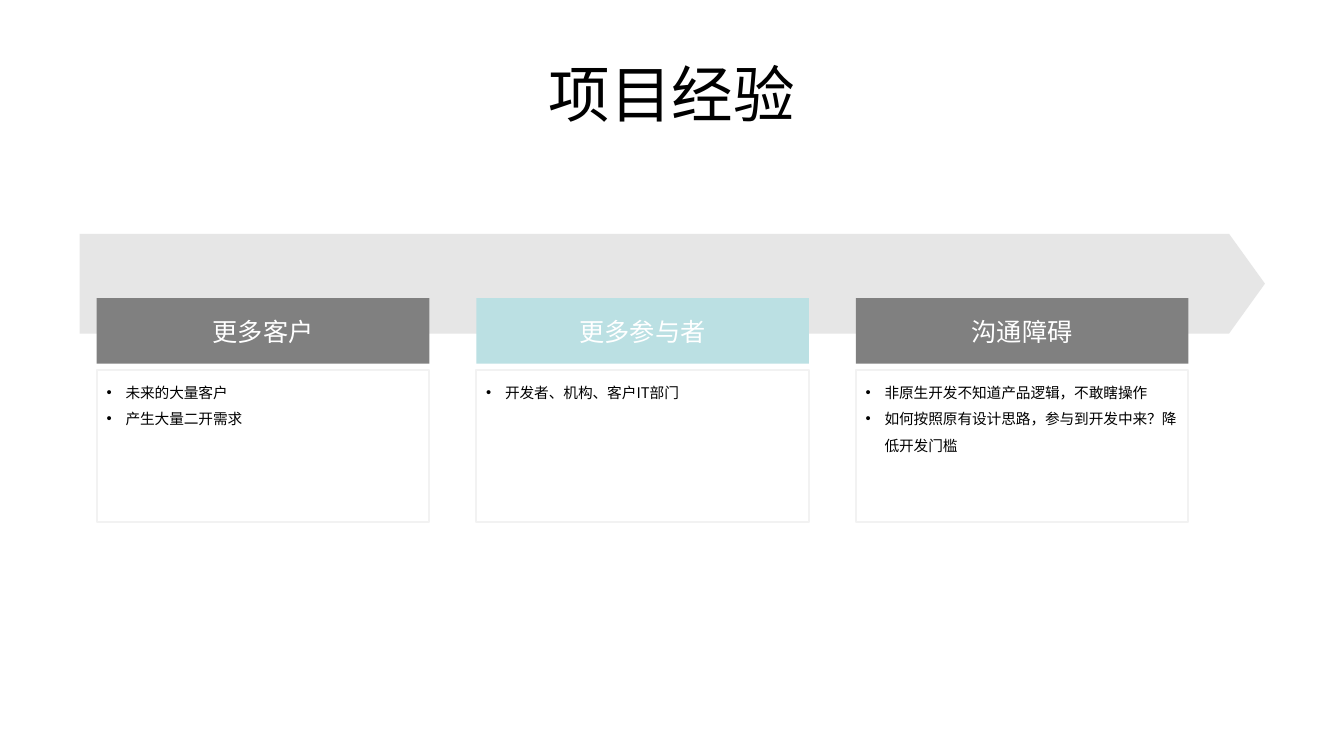
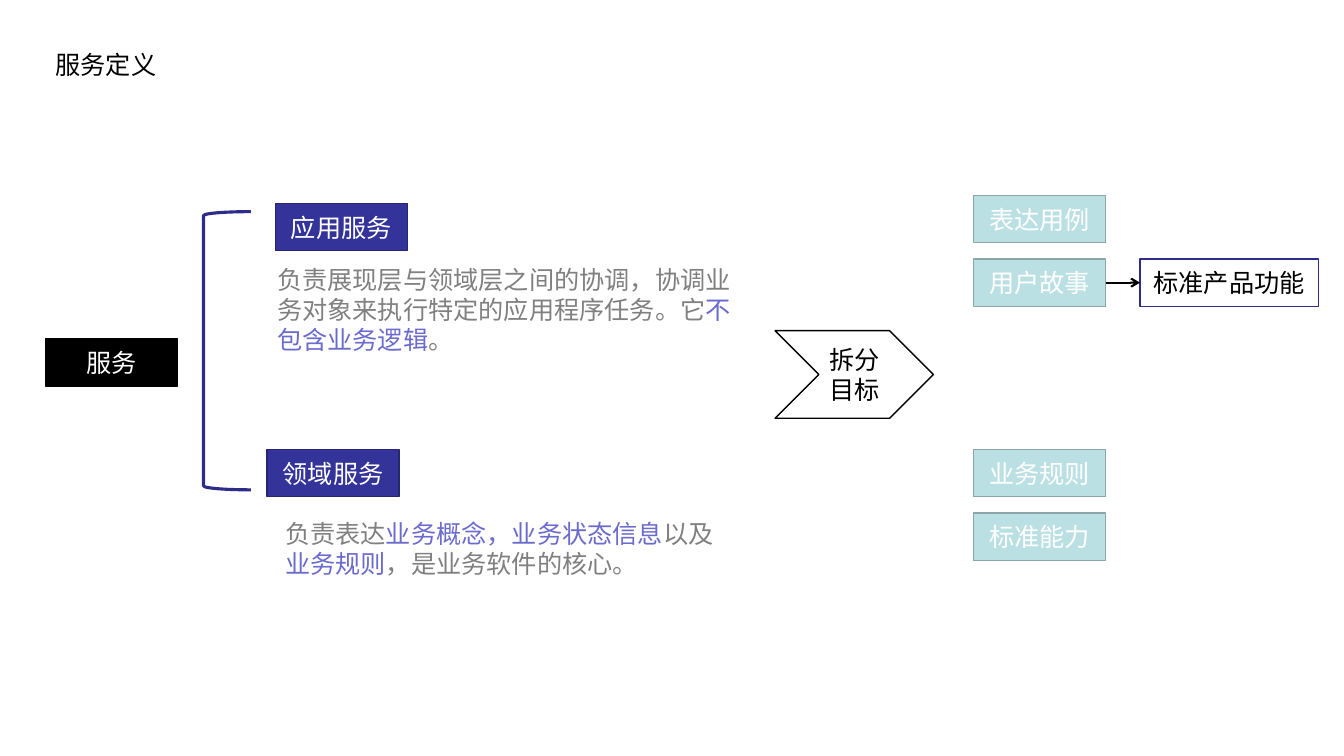
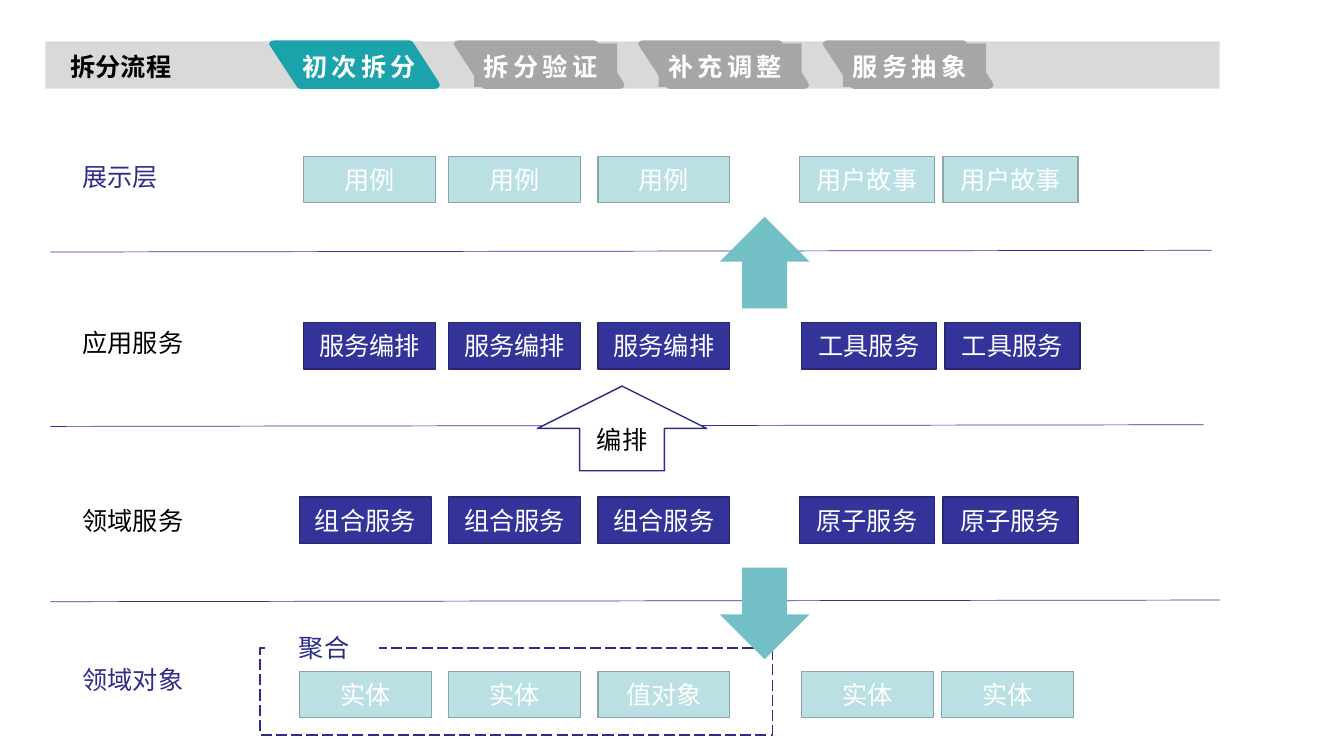
from dataclasses import dataclass
from typing import Optional

from lxml.etree import SubElement
from pptx import Presentation
from pptx.dml.color import RGBColor
from pptx.enum.dml import MSO_LINE
from pptx.enum.shapes import MSO_CONNECTOR, MSO_SHAPE
from pptx.enum.text import MSO_ANCHOR, MSO_AUTO_SIZE, PP_ALIGN
from pptx.oxml.ns import qn
from pptx.util import Pt


@dataclass(frozen=True)
class Theme:
    font: str = "Noto Sans CJK SC"
    latin_font: str = "Arial"
    black: str = "000000"
    white: str = "FFFFFF"
    gray: str = "808080"
    pale_gray: str = "F2F2F2"
    band: str = "D9D9D9"
    banner: str = "CCCCCC"
    tab: str = "A6A6A6"
    active_tab: str = "1AA3AA"
    arrow: str = "72BFC5"
    aqua: str = "BBE0E3"
    aqua_edge: str = "8AA6A8"
    navy: str = "333399"
    navy_edge: str = "262671"
    outline: str = "2D2D89"
    highlight: str = "6B6BCE"
    title_size: float = 44
    text_size: float = 18
    small_size: float = 10.5


@dataclass(frozen=True)
class Box:
    left: float
    top: float
    width: float
    height: float


@dataclass(frozen=True)
class Style:
    fill: Optional[str] = None
    line: Optional[str] = None
    weight: float = 1
    color: str = "FFFFFF"


@dataclass(frozen=True)
class Challenge:
    heading: str
    points: list[str]
    fill: str


@dataclass(frozen=True)
class Layer:
    label: str
    label_top: float
    label_color: str
    top: float
    style: Style
    first_left: float
    trio: list[str]
    pair_left: float
    pair_width: float
    pair: str


THEME = Theme()
NAVY = Style(THEME.navy, THEME.navy_edge)
AQUA = Style(THEME.aqua, THEME.aqua_edge)
BLACK = Style(THEME.black, THEME.black)
FRAMED = Style(THEME.white, THEME.outline, color=THEME.black)


# Shared drawing functions
def rgb(color: str) -> RGBColor:
    return RGBColor.from_string(color)


def write(shape, text, *, size=THEME.text_size, color=THEME.black, bold=False,
          align=PP_ALIGN.LEFT, anchor=MSO_ANCHOR.TOP, spacing=None,
          tracking=None, bullet=False, latin=THEME.font):
    """Fill a shape with text; parts between asterisks are highlighted."""
    frame = shape.text_frame
    frame.word_wrap = True
    frame.auto_size = MSO_AUTO_SIZE.NONE
    frame.vertical_anchor = anchor
    lines = [text] if isinstance(text, str) else text
    for index, line in enumerate(lines):
        paragraph = frame.add_paragraph() if index else frame.paragraphs[0]
        paragraph.alignment = align
        if spacing:
            paragraph.line_spacing = spacing
        if bullet:
            properties = paragraph._p.get_or_add_pPr()
            properties.set("marL", str(Pt(13.5)))
            properties.set("indent", str(-Pt(13.5)))
            SubElement(properties, qn("a:buFont")).set("typeface", THEME.latin_font)
            SubElement(properties, qn("a:buChar")).set("char", "•")
        for part_index, part in enumerate(line.split("*")):
            run = paragraph.add_run()
            run.text = part
            font = run.font
            font.size, font.bold, font.name = Pt(size), bold, latin
            font.color.rgb = rgb(THEME.highlight if part_index % 2 else color)
            SubElement(font._element, qn("a:ea")).set("typeface", THEME.font)
            if tracking:
                font._element.set("spc", str(tracking * 100))


def paint(shape, style: Style):
    shape.shadow.inherit = False
    if style.fill:
        shape.fill.solid()
        shape.fill.fore_color.rgb = rgb(style.fill)
    else:
        shape.fill.background()
    if style.line:
        shape.line.color.rgb = rgb(style.line)
        shape.line.width = Pt(style.weight)
    else:
        shape.line.fill.background()
    return shape


def place(shape, box: Box):
    shape.left, shape.top = Pt(box.left), Pt(box.top)
    shape.width, shape.height = Pt(box.width), Pt(box.height)


def draw(slide, box: Box, style: Style, kind=MSO_SHAPE.RECTANGLE):
    shape = slide.shapes.add_shape(kind, 0, 0, 0, 0)
    place(shape, box)
    return paint(shape, style)


def block(slide, box: Box, text: str, style: Style, kind=MSO_SHAPE.RECTANGLE,
          **text_format):
    shape = draw(slide, box, style, kind)
    write(shape, text, color=style.color, align=PP_ALIGN.CENTER,
          anchor=MSO_ANCHOR.MIDDLE, **text_format)
    return shape


def label(slide, box: Box, text: str, **text_format):
    textbox = slide.shapes.add_textbox(0, 0, 0, 0)
    place(textbox, box)
    write(textbox, text, **text_format)


def connect(slide, start, end, color: str, weight: float):
    connector = slide.shapes.add_connector(
        MSO_CONNECTOR.STRAIGHT, *map(Pt, start + end))
    connector.line.color.rgb = rgb(color)
    connector.line.width = Pt(weight)
    SubElement(connector._element.spPr, qn("a:effectLst"))
    return connector


def titled_slide(deck, text: str, box: Box, **text_format):
    slide = deck.slides.add_slide(deck.slide_layouts[5])
    place(slide.shapes.title, box)
    write(slide.shapes.title, text, **text_format)
    return slide


# Slide 1: project experience
def project_slide(deck):
    slide = titled_slide(deck, "项目经验", Box(48, 21.6, 864, 90),
                         size=THEME.title_size, align=PP_ALIGN.CENTER,
                         anchor=MSO_ANCHOR.MIDDLE)
    banner = draw(slide, Box(56.9, 167, 846.7, 71.3), Style(THEME.banner),
                  MSO_SHAPE.PENTAGON)
    banner.adjustments[0] = 0.36
    tint = banner._element.spPr.find(f"{qn('a:solidFill')}/{qn('a:srgbClr')}")
    SubElement(tint, qn("a:alpha")).set("val", "48000")

    challenges = [
        Challenge("更多客户", ["未来的大量客户", "产生大量二开需求"], THEME.gray),
        Challenge("更多参与者", ["开发者、机构、客户IT部门"], THEME.aqua),
        Challenge("沟通障碍", ["非原生开发不知道产品逻辑，不敢瞎操作",
                           "如何按照原有设计思路，参与到开发中来？降低开发门槛"],
                  THEME.gray),
    ]
    for index, challenge in enumerate(challenges):
        left = 69.1 + index * 271.1
        details = draw(slide, Box(left, 264.2, 237.6, 108.7),
                       Style(line=THEME.pale_gray, weight=1.5))
        write(details, challenge.points, size=THEME.small_size, spacing=1.5,
              bullet=True)
        block(slide, Box(left, 213, 237.6, 46.8), challenge.heading,
              Style(challenge.fill))


# Slide 2: service definition
def definition_slide(deck):
    slide = titled_slide(deck, "服务定义", Box(32.4, 31.7, 136.8, 28.8))
    box_width, box_height = 94.3, 33.8

    # Services and their duties
    for text, left, top, style in [("应用服务", 196.6, 145.4, NAVY),
                                   ("服务", 32.4, 241.9, BLACK),
                                   ("领域服务", 190.8, 321.1, NAVY)]:
        block(slide, Box(left, top, box_width, box_height), text, style)
    label(slide, Box(190.8, 185, 344.2, 72.7),
          "负责展现层与领域层之间的协调，协调业务对象来执行特定的应用程序任务。它"
          "*不包含业务逻辑*。", color=THEME.gray)
    label(slide, Box(196.6, 366.5, 323.3, 51.1),
          "负责表达*业务概念，业务状态信息*以及*业务规则*，是业务软件的核心。",
          color=THEME.gray)
    draw(slide, Box(145.4, 151.2, 33.8, 198.7),
         Style(line=THEME.outline, weight=2.25), MSO_SHAPE.LEFT_BRACKET)

    # Splitting goals
    block(slide, Box(553.7, 236.2, 113, 62.6), "拆分目标",
          Style(THEME.white, THEME.black, color=THEME.black), MSO_SHAPE.CHEVRON)
    goals = {
        text: block(slide, Box(695.5, top, box_width, box_height), text, AQUA)
        for text, top in [("业务规则", 321.1), ("标准能力", 366.5),
                          ("表达用例", 139.7), ("用户故事", 185)]
    }
    feature = block(slide, Box(814.3, 185, 127.4, box_height), "标准产品功能", FRAMED)
    story_link = connect(slide, (789.8, 201.9), (814.3, 201.9), THEME.black, 1.5)
    story_link.begin_connect(goals["用户故事"], 3)
    story_link.end_connect(feature, 1)
    SubElement(story_link.line._get_or_add_ln(), qn("a:tailEnd")).set("type", "arrow")


# Slide 3: splitting process
TAB_OUTLINE = [(19.4, 32.4), (1.4, 5), (0, 2.5), (1.4, 0.6), (3.6, 0), (100.1, 0),
               (101.8, 0.5), (103, 1.6), (121, 29.4), (122, 32), (121, 34),
               (118.8, 34.6), (22.3, 34.6), (20.6, 34)]


def stage_tab(slide, left: float, text: str, active: bool):
    start, *corners = [(Pt(x), Pt(y)) for x, y in TAB_OUTLINE]
    builder = slide.shapes.build_freeform(*start)
    builder.add_line_segments(corners)
    outline = builder.convert_to_shape(Pt(left), Pt(28.8))
    paint(outline, Style(THEME.active_tab if active else THEME.tab))
    caption = draw(slide, Box(left + (16.6 if active else 14.6), 31, 102.2, 31),
                   Style(None if active else THEME.tab))
    write(caption, text, color=THEME.white, bold=True, spacing=1.1, tracking=3)


def layer_row(slide, layer: Layer):
    label(slide, Box(51.8, layer.label_top, 94.3, 28.8), layer.label,
          color=layer.label_color)
    for left, text in zip((layer.first_left, 320.4, 427), layer.trio):
        block(slide, Box(left, layer.top, 94.3, 33.1), text, layer.style)
    for index in range(2):
        left = layer.pair_left + index * (layer.pair_width + 6)
        block(slide, Box(left, layer.top, layer.pair_width, 33.1), layer.pair,
              layer.style)


def process_slide(deck):
    slide = titled_slide(deck, "拆分流程", Box(43.2, 33.1, 110.9, 28.8), bold=True)
    band = draw(slide, Box(32.4, 29.5, 838.8, 33.8), Style(THEME.band))
    slide.shapes.title.element.addprevious(band.element)
    for index, stage in enumerate(["初次拆分", "拆分验证", "补充调整", "服务抽象"]):
        stage_tab(slide, 192.2 + index * 131.8, stage, active=index == 0)

    # Layer separators and aggregate frame
    for top, right in [(180, 865.4), (304.6, 859.7), (429.8, 871.2)]:
        connect(slide, (36, top), (right, top - 1.2), THEME.navy, 0.5)
    aggregate = draw(slide, Box(185.8, 463, 365.8, 61.9), Style(line=THEME.outline))
    aggregate.line.dash_style = MSO_LINE.LONG_DASH
    block(slide, Box(192.2, 445.7, 78.5, 33.8), "聚合",
          Style(THEME.white, color=THEME.outline))

    # Layers
    layers = [
        Layer("展示层", 111.6, THEME.outline, 111.6, AQUA, 216.7,
              ["用例"] * 3, 571, 96.5, "用户故事"),
        Layer("应用服务", 230.4, THEME.black, 230.4, NAVY, 216.7,
              ["服务编排"] * 3, 572.4, 96.5, "工具服务"),
        Layer("领域服务", 357.1, THEME.black, 355, NAVY, 213.8,
              ["组合服务"] * 3, 571, 96.5, "原子服务"),
        Layer("领域对象", 470.9, THEME.outline, 479.5, AQUA, 213.8,
              ["实体", "实体", "值对象"], 572.4, 94.3, "实体"),
    ]
    for layer in layers:
        layer_row(slide, layer)

    # Arrows between layers
    for top, rotation in [(405.4, 0), (154.8, 180)]:
        arrow = draw(slide, Box(514.1, top, 64.1, 65.5), Style(THEME.arrow),
                     MSO_SHAPE.DOWN_ARROW)
        arrow.rotation = rotation
    block(slide, Box(383.8, 275.8, 121, 60.5), "编排", FRAMED, MSO_SHAPE.UP_ARROW,
          latin=THEME.latin_font)


def main():
    deck = Presentation()
    deck.slide_width, deck.slide_height = Pt(960), Pt(540)
    project_slide(deck)
    definition_slide(deck)
    process_slide(deck)
    deck.save("out.pptx")


if __name__ == "__main__":
    main()
